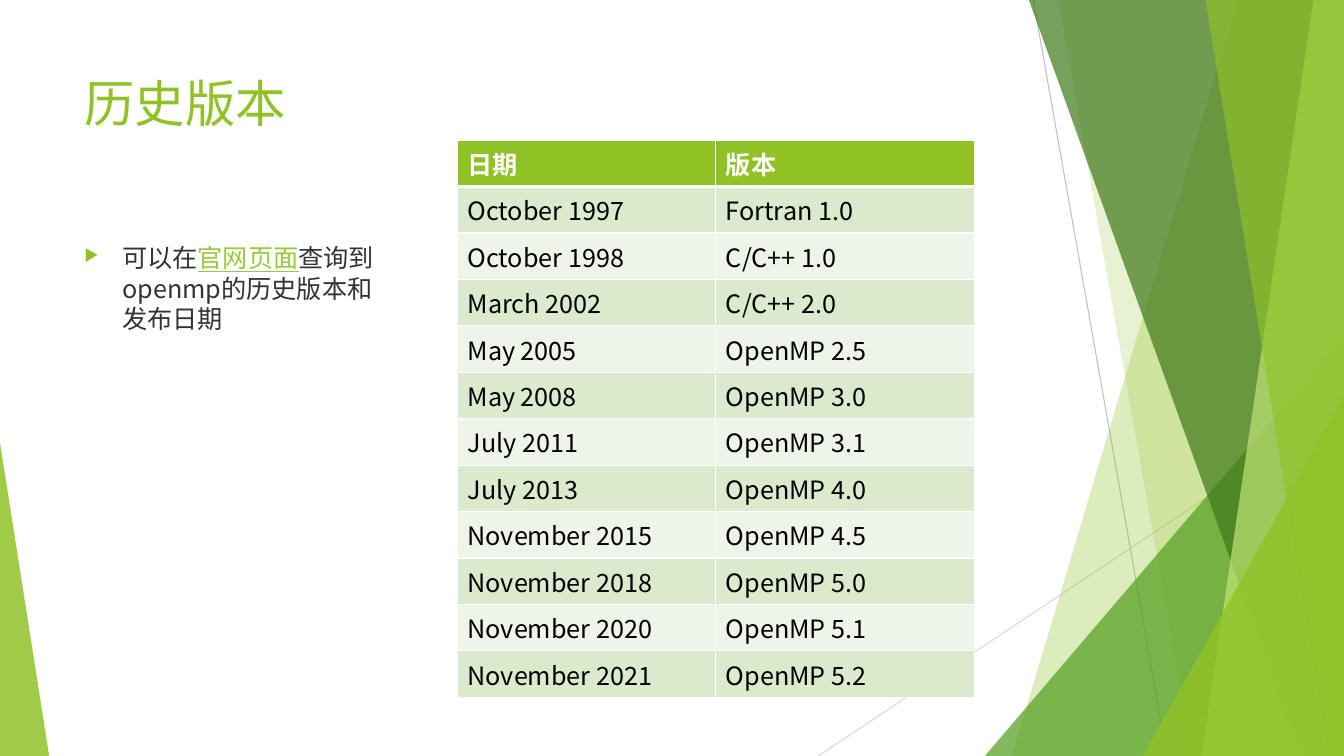
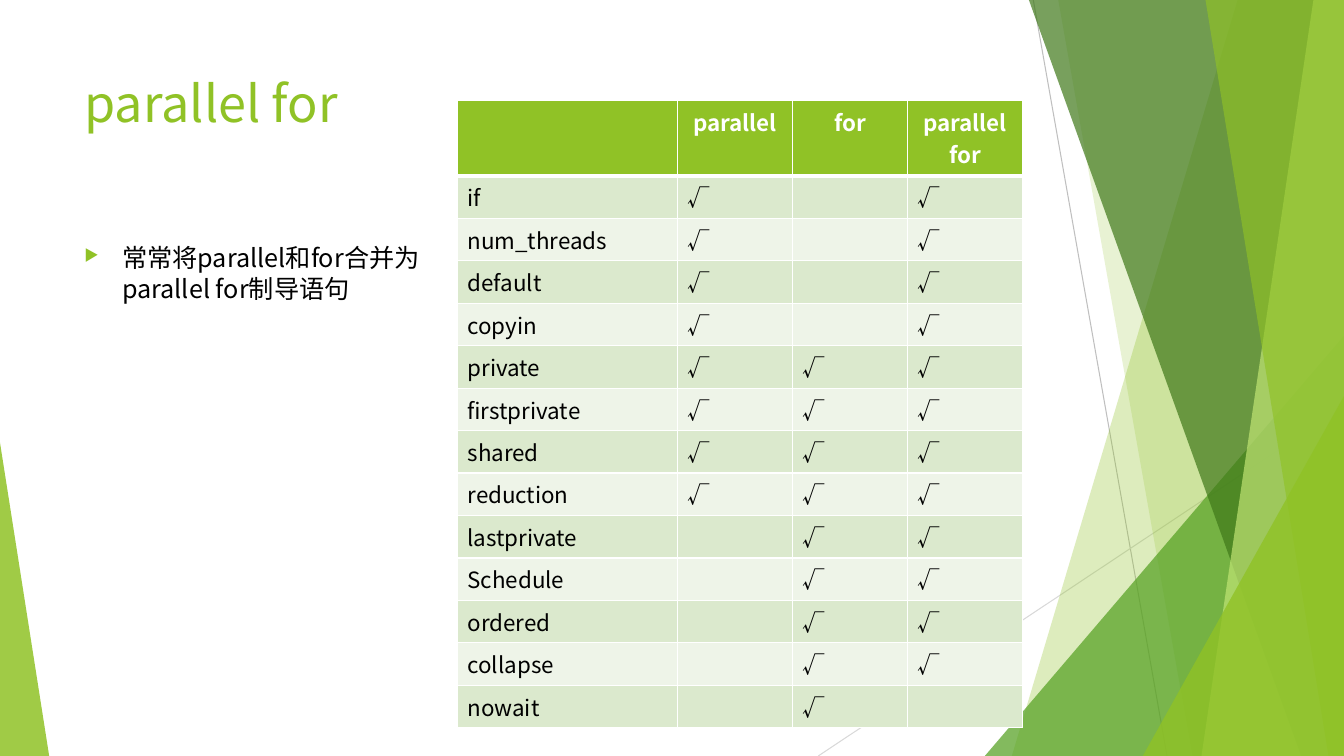
from dataclasses import dataclass

from lxml import etree
from pptx import Presentation
from pptx.dml.color import RGBColor
from pptx.enum.shapes import MSO_CONNECTOR, MSO_SHAPE
from pptx.enum.text import PP_ALIGN
from pptx.oxml.ns import qn
from pptx.util import Cm, Pt

STRAIGHT = MSO_CONNECTOR.STRAIGHT
TRIANGLE = MSO_SHAPE.ISOSCELES_TRIANGLE
CENTER = PP_ALIGN.CENTER


@dataclass(frozen=True)
class Theme:
    wide: float = 33.87
    high: float = 19.05
    font: str = "Noto Sans CJK SC"
    title: int = 36
    body: int = 18
    small: int = 16
    lime: str = "90C226"
    pale: str = "C0E474"
    green: str = "54A021"
    dark: str = "3F7819"
    link: str = "99CA3C"
    ink: str = "333333"
    black: str = "000000"
    white: str = "FFFFFF"
    bands: tuple = ("DBE9CD", "EEF4E8")


THEME = Theme()

LINES = [
    (26.04, 0, 29.41, THEME.high, "BFBFBF"),
    (THEME.wide, 10.24, 20.62, THEME.high, "D9D9D9"),
]
# Rays: top x, bottom x, colour, opacity
RAYS_BACK = [(31.19, 25.5, THEME.lime, 30), (26.67, 30.05, THEME.lime, 20)]
RAYS_FRONT = [
    (25.93, 32.79, THEME.dark, 70),
    (33.1, 30.28, THEME.pale, 70),
    (30.38, 33.48, THEME.lime, 65),
]

DATES = [
    ("日期", "版本"),
    ("October 1997", "Fortran 1.0"),
    ("October 1998", "C/C++ 1.0"),
    ("March 2002", "C/C++ 2.0"),
    ("May 2005", "OpenMP 2.5"),
    ("May 2008", "OpenMP 3.0"),
    ("July 2011", "OpenMP 3.1"),
    ("July 2013", "OpenMP 4.0"),
    ("November 2015", "OpenMP 4.5"),
    ("November 2018", "OpenMP 5.0"),
    ("November 2020", "OpenMP 5.1"),
    ("November 2021", "OpenMP 5.2"),
]

# Clauses that share the same marks under parallel, for, parallel for
CLAUSES = [
    (("√", "", "√"), "if num_threads default copyin"),
    (("√", "√", "√"), "private firstprivate shared reduction"),
    (("", "√", "√"), "lastprivate Schedule ordered collapse"),
    (("", "√", ""), "nowait"),
]


def style(run, size, color, bold=False, under=False):
    font = run.font
    font.name, font.size = THEME.font, Pt(size)
    font.bold, font.underline = bold, under
    font.color.rgb = RGBColor.from_string(color)
    east = etree.SubElement(run._r.get_or_add_rPr(), qn("a:ea"))
    east.set("typeface", THEME.font)


def paint(shape, color, alpha):
    """Fill a shape with a see-through colour, without line or shadow."""
    shape.shadow.inherit = False
    shape.line.fill.background()
    shape.fill.solid()
    shape.fill.fore_color.rgb = RGBColor.from_string(color)
    tint = shape._element.spPr.find(qn("a:solidFill"))[0]
    etree.SubElement(tint, qn("a:alpha")).set("val", str(alpha * 1000))


def add_line(slide, x1, y1, x2, y2, color):
    line = slide.shapes.add_connector(STRAIGHT, Cm(x1), Cm(y1), Cm(x2), Cm(y2))
    line.line.color.rgb = RGBColor.from_string(color)
    line.line.width = Pt(0.75)
    etree.SubElement(line._element.spPr, qn("a:effectLst"))


def add_ray(slide, top, base, color, alpha):
    """Draw a panel from a slanted left side to the right slide edge."""
    pen = slide.shapes.build_freeform(Cm(top), 0)
    edge, foot = Cm(THEME.wide), Cm(THEME.high)
    pen.add_line_segments([(edge, 0), (edge, foot), (Cm(base), foot)], close=True)
    paint(pen.convert_to_shape(), color, alpha)


def add_wedge(slide, left, top, right, peak, color, alpha):
    """Draw a triangle on the bottom edge; peak 0 is left, 1 is right."""
    wedge = slide.shapes.add_shape(
        TRIANGLE, Cm(left), Cm(top), Cm(right - left), Cm(THEME.high - top))
    wedge.adjustments[0] = peak
    paint(wedge, color, alpha)


def add_decor(slide):
    for line in LINES:
        add_line(slide, *line)
    for ray in RAYS_BACK:
        add_ray(slide, *ray)
    add_wedge(slide, 24.82, 8.46, THEME.wide, 1, THEME.green, 72)
    for ray in RAYS_FRONT:
        add_ray(slide, *ray)
    add_wedge(slide, 28.8, 9.98, THEME.wide, 1, THEME.lime, 80)
    add_wedge(slide, 0, 11.15, 1.24, 0, THEME.lime, 85)


def add_text(slide, top, width, height):
    """Return the first paragraph of a new box on the left margin."""
    box = slide.shapes.add_textbox(Cm(1.88), Cm(top), Cm(width), Cm(height))
    box.text_frame.word_wrap = True
    return box.text_frame.paragraphs[0]


def add_title(slide, text):
    para = add_text(slide, 1.7, 23.88, 3.66)
    para.text = text
    style(para.runs[0], THEME.title, THEME.lime)


def add_bullet(slide, width, parts):
    """Add a bullet made of (text, colour, underline) parts."""
    para = add_text(slide, 5.99, width, 10.77)
    para.space_before = Pt(10)
    props = para._p.get_or_add_pPr()
    props.set("marL", str(Cm(0.95)))
    props.set("indent", str(Cm(-0.95)))
    tint = etree.SubElement(props, qn("a:buClr"))
    etree.SubElement(tint, qn("a:srgbClr")).set("val", THEME.lime)
    etree.SubElement(props, qn("a:buSzPct")).set("val", "65000")
    etree.SubElement(props, qn("a:buChar")).set("char", "▶")
    for text, color, under in parts:
        run = para.add_run()
        run.text = text
        style(run, THEME.body, color, under=under)


def add_rule(cell):
    """Draw the thick white rule below a heading cell."""
    rule = etree.Element(qn("a:lnB"), w=str(Pt(3)))
    tint = etree.SubElement(rule, qn("a:solidFill"))
    etree.SubElement(tint, qn("a:srgbClr")).set("val", THEME.white)
    cell._tc.get_or_add_tcPr().insert(0, rule)


def fill_cell(cell, text, size, head, shade):
    cell.fill.solid()
    cell.fill.fore_color.rgb = RGBColor.from_string(shade)
    para = cell.text_frame.paragraphs[0]
    if text:
        para.text = text
        style(para.runs[0], size, THEME.white if head else THEME.black, head)
    else:
        end = etree.SubElement(para._p, qn("a:endParaRPr"))
        end.set("sz", str(size * 100))
    return para


def add_grid(slide, top, widths, heads, pitch, rows, size, align=None):
    """Add a table: heads is the height of row one, pitch of the others."""
    tall = heads + pitch * (len(rows) - 1)
    frame = slide.shapes.add_table(
        len(rows), len(widths), Cm(11.53), Cm(top), Cm(sum(widths)), Cm(tall))
    table = frame.table
    for col, width in zip(table.columns, widths):
        col.width = Cm(width)
    for i, row in enumerate(rows):
        table.rows[i].height = Cm(pitch if i else heads)
        shade = THEME.bands[(i - 1) % 2] if i else THEME.lime
        for j, text in enumerate(row):
            cell = table.cell(i, j)
            para = fill_cell(cell, text, size, i == 0, shade)
            if i == 0:
                para.alignment = align
                add_rule(cell)


def add_page(deck, title):
    slide = deck.slides.add_slide(deck.slide_layouts[6])
    add_decor(slide)
    add_title(slide, title)
    return slide


def main():
    deck = Presentation()
    deck.slide_width, deck.slide_height = Cm(THEME.wide), Cm(THEME.high)

    past = add_page(deck, "历史版本")
    add_bullet(past, 7.82, [
        ("可以在", THEME.ink, False),
        ("官网页面", THEME.link, True),
        ("查询到openmp的历史版本和发布日期", THEME.ink, False),
    ])
    add_grid(past, 3.53, [6.51] * 2, 1.17, 1.17, DATES, THEME.body)

    both = add_page(deck, "parallel for")
    add_bullet(both, 9.04, [
        ("常常将parallel和for合并为parallel for制导语句", THEME.black, False),
    ])
    rows = [("", "parallel", "for", "parallel for")]
    rows += [(name, *marks) for marks, names in CLAUSES for name in names.split()]
    add_grid(both, 2.54, [5.54] + [2.9] * 3, 1.89, 1.07, rows, THEME.small, CENTER)

    deck.save("out.pptx")


if __name__ == "__main__":
    main()
